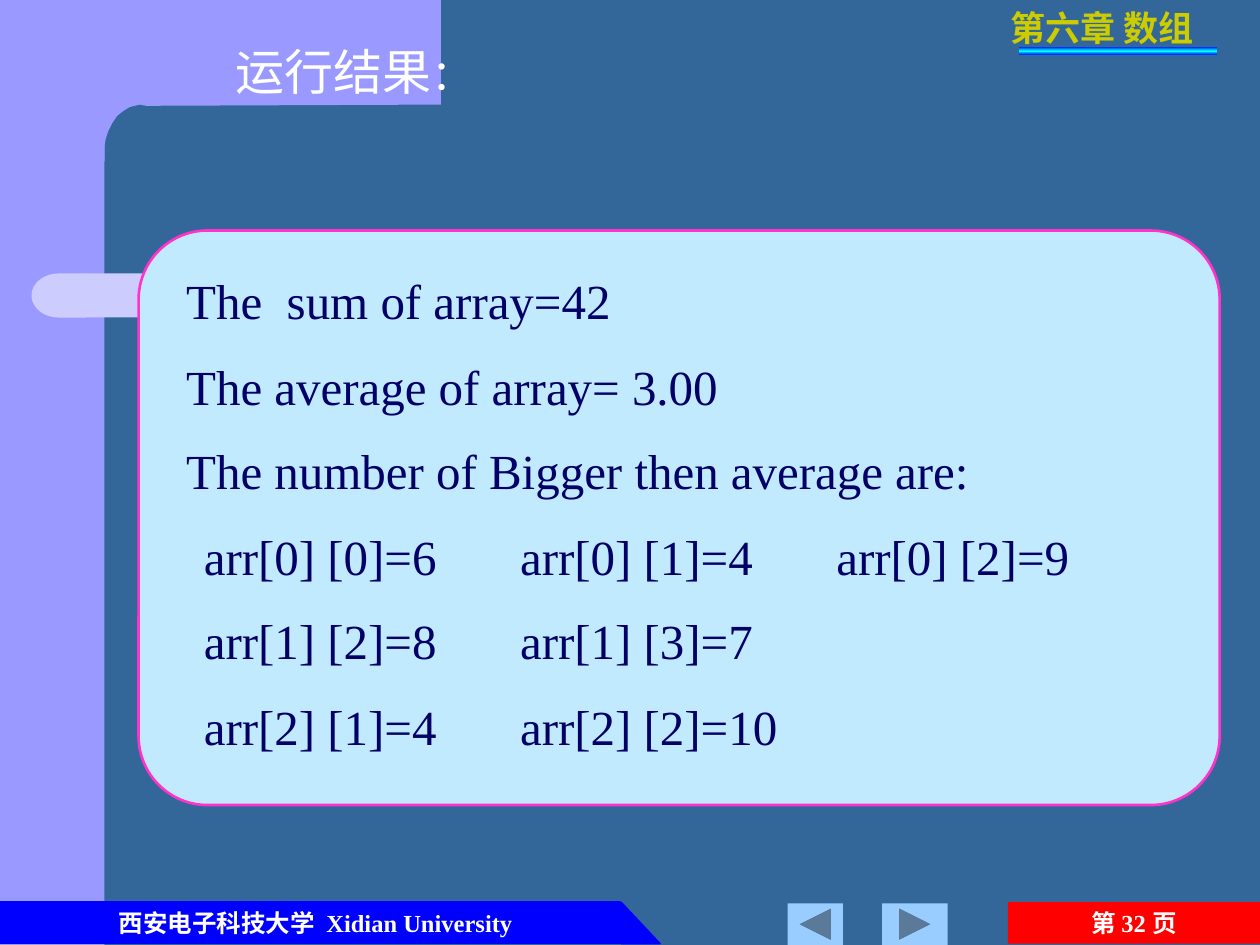
"""Build the array program results slide."""
from copy import deepcopy
from dataclasses import dataclass
from typing import Optional

from lxml import etree
from pptx import Presentation
from pptx.dml.color import RGBColor
from pptx.enum.shapes import MSO_SHAPE
from pptx.enum.text import MSO_ANCHOR, MSO_AUTO_SIZE, PP_ALIGN
from pptx.oxml.ns import qn
from pptx.util import Pt

PX = 9144
RECTANGLE = MSO_SHAPE.RECTANGLE
ROUNDED = MSO_SHAPE.ROUNDED_RECTANGLE
DELAY = MSO_SHAPE.FLOWCHART_DELAY
TRIANGLE = MSO_SHAPE.RIGHT_TRIANGLE
NEXT_BUTTON = MSO_SHAPE.ACTION_BUTTON_FORWARD_OR_NEXT
LEFT, CENTER = PP_ALIGN.LEFT, PP_ALIGN.CENTER
MIDDLE, TOP = MSO_ANCHOR.MIDDLE, MSO_ANCHOR.TOP
NO_AUTO_SIZE = MSO_AUTO_SIZE.NONE

SERIF = "Times New Roman"
CHINESE = "Noto Sans CJK SC"
COLORS = {
    "background": "336699", "lavender": "9999FF", "pale": "CCCCFF",
    "blue": "0000FF", "cyan": "00FFFF", "red": "FF0000", "button": "99CCFF",
    "panel": "C1EAFF", "pink": "FF33CC", "navy": "000066",
    "gold": "CCCC00", "white": "FFFFFF",
}


@dataclass(frozen=True)
class Box:
    left: int
    top: int
    width: int
    height: int

    def emu(self) -> tuple:
        return tuple(value * PX for value in (self.left, self.top, self.width, self.height))


@dataclass(frozen=True)
class Block:
    kind: int
    box: Box
    fill: str
    line: Optional[str] = None
    line_width: float = 0.75
    rotation: int = 0


@dataclass(frozen=True)
class Span:
    text: str
    size: int
    color: str
    font: str = SERIF
    bold: bool = False


FRAME_CORNER = [(350, 0), (350, 83), (116, 84), (111, 83), (103, 85), (98, 88), (93, 92),
                (89, 98), (86, 104), (84, 110), (83, 116), (83, 128), (50, 128)]
DECORATIONS = [
    Block(RECTANGLE, Box(0, 0, 83, 750), "lavender"),
    Block(RECTANGLE, Box(67, 217, 767, 35), "pale"),
    Block(DELAY, Box(25, 217, 43, 35), "pale", rotation=180),
    Block(RECTANGLE, Box(0, 716, 492, 33), "blue", "blue"),
    Block(TRIANGLE, Box(493, 716, 31, 33), "blue", "blue"),
    Block(NEXT_BUTTON, Box(700, 717, 52, 33), "button"),
    Block(NEXT_BUTTON, Box(625, 717, 44, 33), "button", rotation=180),
]
PAGE_BADGE = Block(RECTANGLE, Box(800, 716, 200, 33), "red")
PANEL = Block(ROUNDED, Box(110, 183, 858, 456), "panel", "pink", 1.5)
CHAPTER_RULE = Block(RECTANGLE, Box(809, 37, 157, 7), "blue")

SUMMARY = ["The  sum of array=42", "The average of array= 3.00",
           "The number of Bigger then average are:"]
ELEMENTS = [["arr[0] [0]=6", "arr[0] [1]=4", "arr[0] [2]=9"],
            ["arr[1] [2]=8", "arr[1] [3]=7"],
            ["arr[2] [1]=4", "arr[2] [2]=10"]]


def rgb(name: str) -> RGBColor:
    return RGBColor.from_string(COLORS[name])


def paint(shape, fill: str, line: Optional[str] = None, line_width: float = 0.75) -> None:
    shape.shadow.inherit = False
    shape.fill.solid()
    shape.fill.fore_color.rgb = rgb(fill)
    if line:
        shape.line.color.rgb = rgb(line)
        shape.line.width = Pt(line_width)
    else:
        shape.line.fill.background()


def draw_block(slide, block: Block):
    shape = slide.shapes.add_shape(block.kind, *block.box.emu())
    shape.rotation = block.rotation
    paint(shape, block.fill, block.line, block.line_width)
    return shape


def write(shape, spans: list[Span], alignment=LEFT, anchor=TOP) -> None:
    frame = shape.text_frame
    frame.word_wrap = True
    frame.auto_size = NO_AUTO_SIZE
    frame.vertical_anchor = anchor
    paragraph = frame.paragraphs[0]
    paragraph.alignment = alignment
    for span in spans:
        run = paragraph.add_run()
        run.text = span.text
        run.font.size = Pt(span.size)
        run.font.bold = span.bold
        run.font.color.rgb = rgb(span.color)
        run.font.name = span.font
        east_asian = etree.SubElement(run.font._element, qn("a:ea"))
        east_asian.set("typeface", CHINESE)


def draw_text(slide, box: Box, span: Span, alignment=LEFT) -> None:
    write(slide.shapes.add_textbox(*box.emu()), [span], alignment)


def draw_frame_corner(slide) -> None:
    start = (50, 0)
    builder = slide.shapes.build_freeform(*start, scale=PX)
    builder.add_line_segments(FRAME_CORNER, close=True)
    paint(builder.convert_to_shape(), "lavender")


def draw_results(slide) -> None:
    def row_top(row: int) -> int:
        return 210 + (135 * row + 1) // 2

    for row, line in enumerate(SUMMARY):
        draw_text(slide, Box(138, row_top(row), 773, 57), Span(line, 28, "navy"))
    for row, values in enumerate(ELEMENTS, start=len(SUMMARY)):
        for column, value in enumerate(values):
            box = Box(152 + 251 * column, row_top(row), 240, 57)
            draw_text(slide, box, Span(value, 28, "navy"))


def draw_chapter(slide) -> None:
    draw_text(slide, Box(792, 0, 174, 43), Span("第六章 数组", 20, "gold", CHINESE, True))
    fill = draw_block(slide, CHAPTER_RULE).fill
    fill.gradient()
    fill.gradient_angle = 90
    first_stop = fill.gradient_stops[0]._gs
    first_stop.addnext(deepcopy(first_stop))
    stops = [(0, "blue"), (0.5, "cyan"), (1, "blue")]
    for stop, (position, color) in zip(fill.gradient_stops, stops):
        stop.position = position
        stop.color.rgb = rgb(color)


def draw_title(slide) -> None:
    title = slide.shapes.title
    title.left, title.top, title.width, title.height = Box(177, 28, 236, 57).emu()
    write(title, [Span("运行结果", 28, "white", "Roboto"), Span("：", 24, "white", "Roboto")])
    slide.shapes._spTree.append(title._element)


def main() -> None:
    presentation = Presentation()
    presentation.slide_width, presentation.slide_height = 1000 * PX, 750 * PX
    slide = presentation.slides.add_slide(presentation.slide_layouts[5])
    slide.background.fill.solid()
    slide.background.fill.fore_color.rgb = rgb("background")

    draw_frame_corner(slide)
    for block in DECORATIONS:
        draw_block(slide, block)
    draw_text(slide, Box(29, 716, 443, 33),
              Span("西安电子科技大学  Xidian University", 14, "white", bold=True), CENTER)
    page_number = [Span("第 ", 14, "white", CHINESE, True),
                   Span("32 ", 14, "white", SERIF, True),
                   Span("页", 14, "white", CHINESE, True)]
    write(draw_block(slide, PAGE_BADGE), page_number, CENTER, MIDDLE)

    panel = draw_block(slide, PANEL)
    panel.adjustments[0] = 0.12
    draw_results(slide)
    draw_chapter(slide)
    draw_title(slide)
    presentation.save("out.pptx")


if __name__ == "__main__":
    main()
